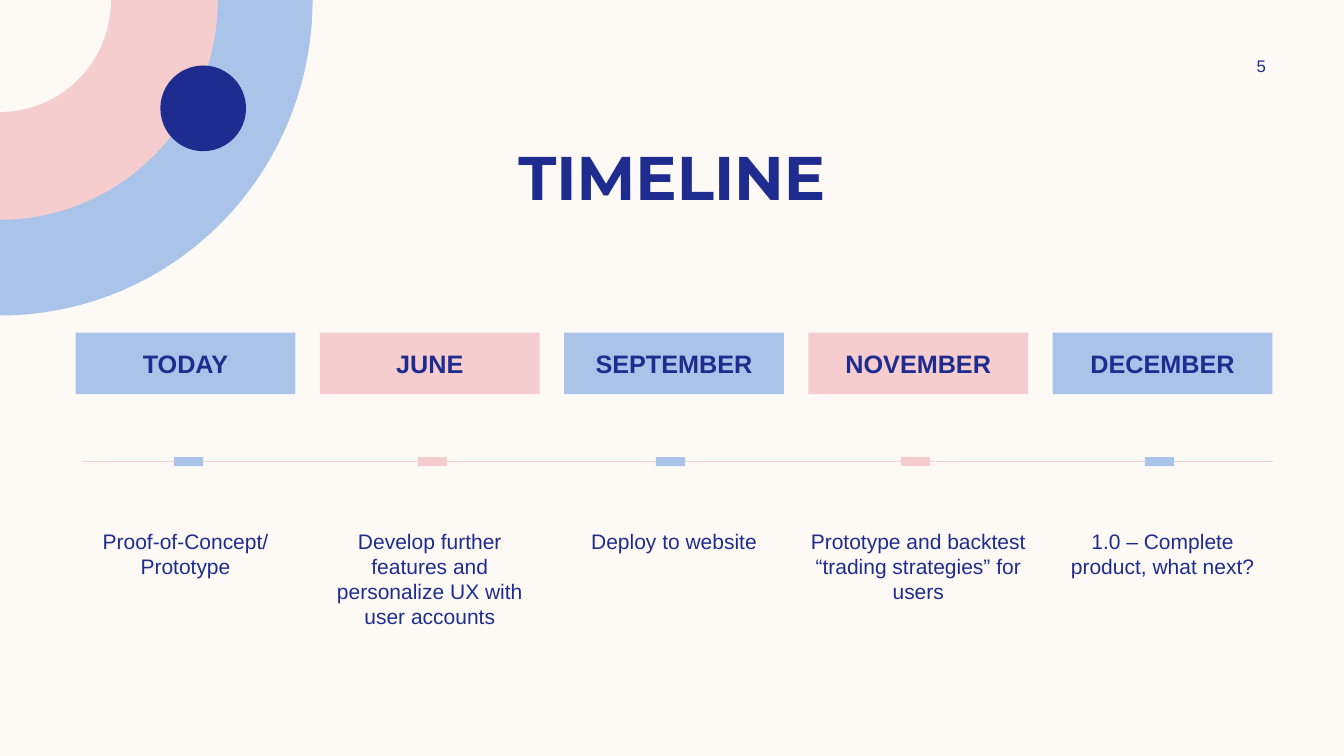
import pptx
import pptx.dml.color
import pptx.enum.shapes
import pptx.enum.text
import pptx.oxml
import pptx.oxml.ns
import pptx.util

from dataclasses import dataclass

Inches = pptx.util.Inches
SHAPE = pptx.enum.shapes.MSO_SHAPE
ANCHOR = pptx.enum.text.MSO_ANCHOR


@dataclass(frozen=True)
class Theme:
    paper: str = "FDFAF6"
    navy: str = "1F2C8F"
    blue: str = "AAC3E8"
    pink: str = "F5CDCE"
    axis: str = "F2D1D1"
    heading_font: str = "Montserrat"
    body_font: str = "Arial"
    title_size: int = 44
    month_size: int = 18
    task_size: int = 15
    number_size: int = 12


THEME = Theme()

# Grid: five equal columns, with one row for each band of the timeline
SLIDE_WIDTH, SLIDE_HEIGHT = 13.33, 7.5
FIRST_LEFT, LAST_LEFT, COLUMN_WIDTH = 0.75, 10.44, 2.18
MONTH_TOP, MONTH_HEIGHT = 3.3, 0.61
AXIS_LEFT, AXIS_RIGHT, AXIS_Y = 0.81, 12.63, 4.58
MARKER_WIDTH, MARKER_HEIGHT = 0.29, 0.09
TASK_TOP, TASK_HEIGHT = 5.19, 0.87

# Month, task, centre of the marker on the axis
MILESTONES = [
    ("TODAY", "Proof-of-Concept/Prototype", 1.87),
    ("JUNE", "Develop further features and personalize UX with user accounts", 4.29),
    ("SEPTEMBER", "Deploy to website", 6.65),
    ("NOVEMBER", "Prototype and backtest “trading strategies” for users", 9.08),
    ("DECEMBER", "1.0 – Complete product, what next?", 11.5),
]
COLUMN_PITCH = (LAST_LEFT - FIRST_LEFT) / (len(MILESTONES) - 1)

# Quarter discs in the corner, from the outside in: width, height, colour
CORNER_DISCS = [
    (3.1, 3.13, THEME.blue),
    (2.16, 2.18, THEME.pink),
    (1.1, 1.11, THEME.paper),
]


def rgb(colour):
    return pptx.dml.color.RGBColor.from_string(colour)


def write(shape, text, size, font=THEME.body_font, bold=False,
          anchor=ANCHOR.MIDDLE, insets=(0, 0)):
    """Write one centred paragraph; insets are side and top/bottom."""
    frame = shape.text_frame
    frame.text = text
    frame.word_wrap = True
    frame.auto_size = pptx.enum.text.MSO_AUTO_SIZE.NONE
    frame.vertical_anchor = anchor
    frame.margin_left = frame.margin_right = Inches(insets[0])
    frame.margin_top = frame.margin_bottom = Inches(insets[1])
    paragraph = frame.paragraphs[0]
    paragraph.alignment = pptx.enum.text.PP_ALIGN.CENTER
    style = paragraph.runs[0].font
    style.name, style.size, style.bold = font, pptx.util.Pt(size), bold
    style.color.rgb = rgb(THEME.navy)


def add_block(slide, left, top, width, height, colour, preset=SHAPE.RECTANGLE):
    block = slide.shapes.add_shape(
        preset, Inches(left), Inches(top), Inches(width), Inches(height))
    block.shadow.inherit = False
    block.fill.solid()
    block.fill.fore_color.rgb = rgb(colour)
    block.line.fill.background()
    return block


def add_label(slide, left, top, width, height, text, size, **style):
    label = slide.shapes.add_textbox(
        Inches(left), Inches(top), Inches(width), Inches(height))
    write(label, text, size, **style)


def add_corner(slide):
    for width, height, colour in CORNER_DISCS:
        disc = add_block(slide, 0, 0, width, height, colour, SHAPE.PIE_WEDGE)
        disc.rotation = 180
    add_block(slide, 1.59, 0.65, 0.85, 0.85, THEME.navy, SHAPE.OVAL)


def add_axis(slide):
    axis = slide.shapes.add_connector(
        pptx.enum.shapes.MSO_CONNECTOR.STRAIGHT,
        Inches(AXIS_LEFT), Inches(AXIS_Y), Inches(AXIS_RIGHT), Inches(AXIS_Y))
    axis.line.color.rgb = rgb(THEME.axis)
    axis.line.width = pptx.util.Pt(1)
    axis._element.spPr.append(pptx.oxml.parse_xml(
        "<a:effectLst %s/>" % pptx.oxml.ns.nsdecls("a")))


def add_title(slide, text):
    title = slide.shapes.title
    title.left, title.top = Inches(0.83), Inches(1.32)
    title.width, title.height = Inches(11.67), Inches(0.84)
    write(title, text, THEME.title_size, font=THEME.heading_font, bold=True,
          insets=(0.1, 0.05))


def add_milestone(slide, column, month, task, marker_centre):
    left = FIRST_LEFT + column * COLUMN_PITCH
    colour = (THEME.blue, THEME.pink)[column % 2]
    heading = add_block(slide, left, MONTH_TOP, COLUMN_WIDTH, MONTH_HEIGHT, colour)
    write(heading, month, THEME.month_size, bold=True)
    add_block(slide, marker_centre - MARKER_WIDTH / 2, AXIS_Y - MARKER_HEIGHT / 2,
              MARKER_WIDTH, MARKER_HEIGHT, colour)
    add_label(slide, left, TASK_TOP, COLUMN_WIDTH, TASK_HEIGHT, task,
              THEME.task_size, anchor=ANCHOR.TOP, insets=(0, 0.05))


def main():
    deck = pptx.Presentation()
    deck.slide_width, deck.slide_height = Inches(SLIDE_WIDTH), Inches(SLIDE_HEIGHT)
    slide = deck.slides.add_slide(deck.slide_layouts.get_by_name("Title Only"))
    slide.background.fill.solid()
    slide.background.fill.fore_color.rgb = rgb(THEME.paper)

    # Backdrop
    add_corner(slide)
    add_axis(slide)

    # Title and slide number
    add_title(slide, "TIMELINE")
    add_label(slide, 11.97, 0.5, 1.08, 0.3, "5", THEME.number_size)

    # Timeline
    for column, milestone in enumerate(MILESTONES):
        add_milestone(slide, column, *milestone)

    deck.save("out.pptx")


if __name__ == "__main__":
    main()
